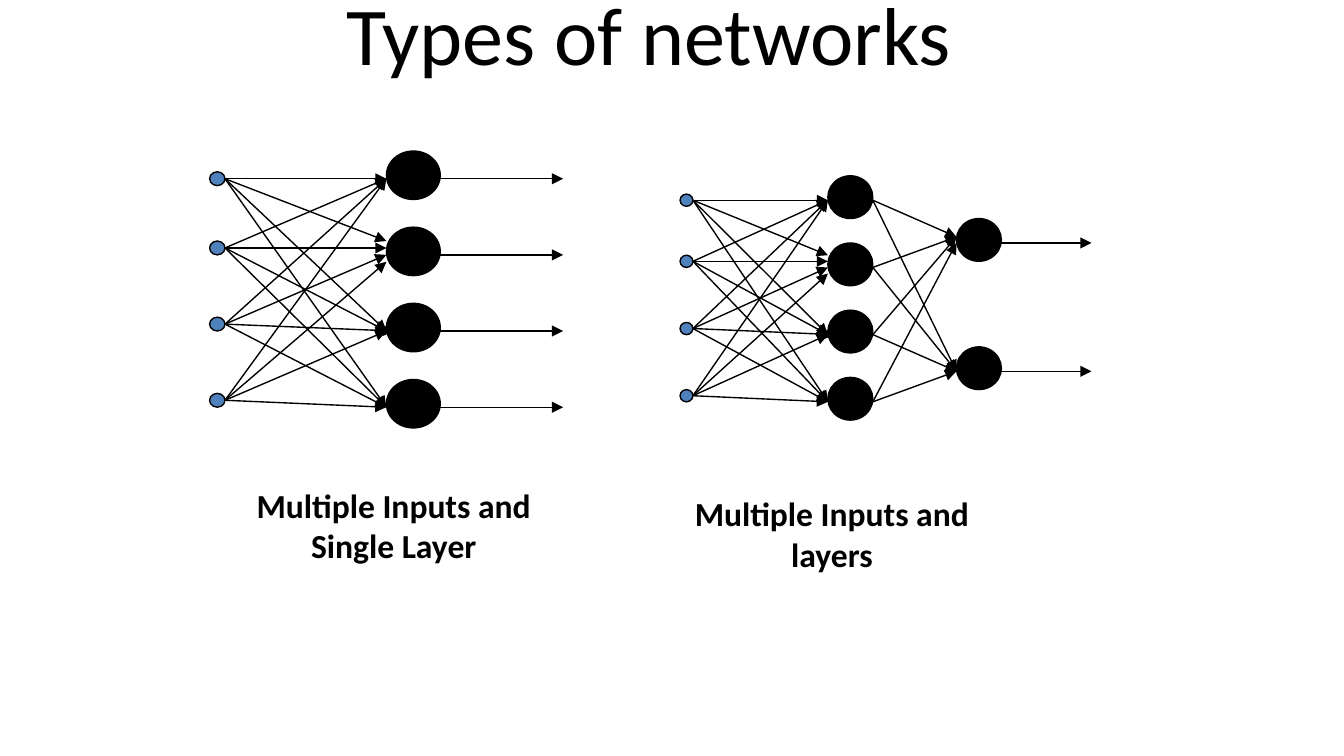
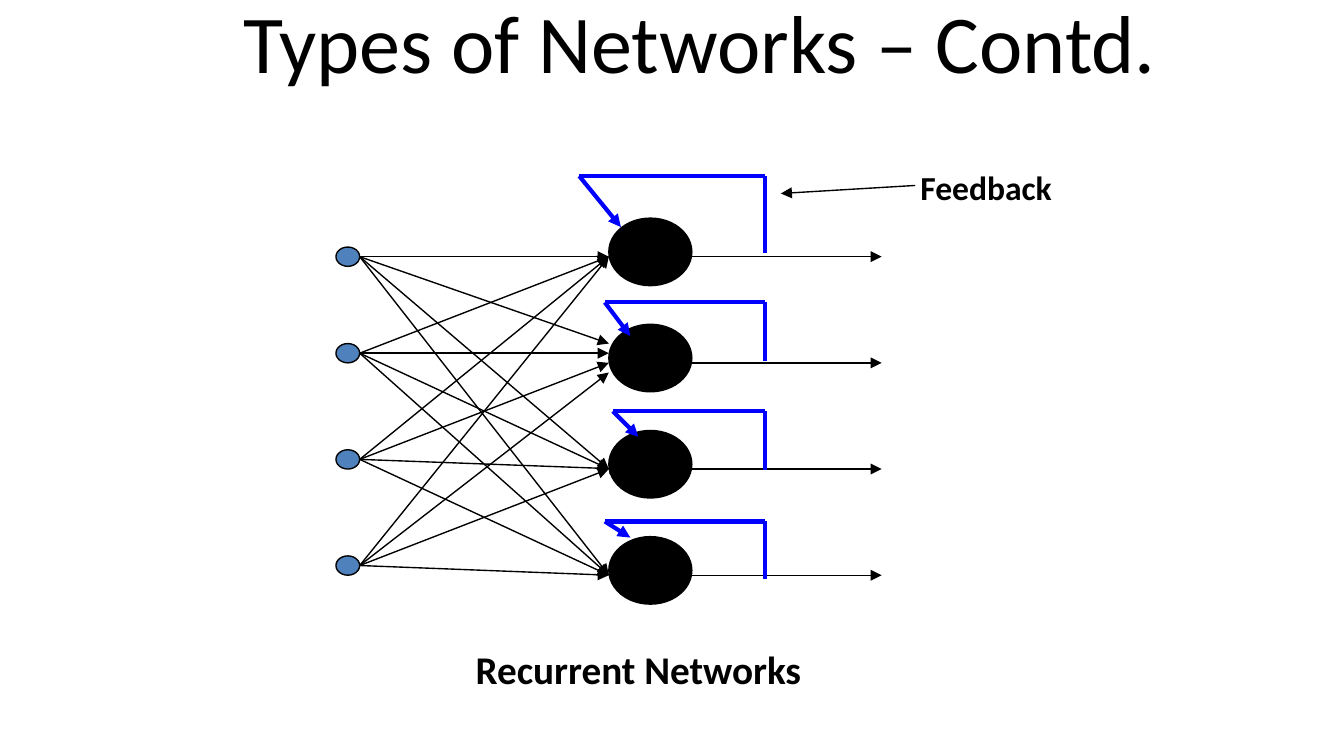
from dataclasses import dataclass

from lxml import etree
from pptx import Presentation
from pptx import util as u
from pptx.dml.color import RGBColor
from pptx.enum import shapes, text
from pptx.oxml.ns import qn

COLOURS = {"ink": "000000", "input": "4F81BD", "feedback": "0000FF"}
FONT = "Calibri"
TITLE_FORMAT = {"size": u.Pt(44), "bold": False}
CAPTION_FORMAT = {"size": u.Pt(18), "bold": True}
LARGE_CAPTION_FORMAT = {"size": u.Pt(21), "bold": True}

# Every network is drawn on a grid, counted from the left of the inputs
# and the middle of the first input.
GRID_COLUMNS, GRID_ROWS = 46, 33
INPUT_ROWS = (0, 10, 21, 32)
NEURON_ROWS = (0, 11, 22, 33)
OUTPUT_ROWS = (7, 28)
INPUT_RIGHT, NEURON_LEFT, NEURON_SIZE = 2, 23, 7
OUTPUT_LEFT, OUTPUT_END = 43, 64


@dataclass
class Grid:
    left: float
    top: float
    width: float
    height: float

    def point(self, column, row):
        return (self.left + column * self.width / GRID_COLUMNS,
                self.top + row * self.height / GRID_ROWS)


def colour(name):
    return RGBColor.from_string(COLOURS[name])


def add_line(parent, start, end, name="ink", width=0.75, arrow=True):
    ends = [u.Inches(value) for value in (*start, *end)]
    connector = parent.add_connector(shapes.MSO_CONNECTOR.STRAIGHT, *ends)
    connector.line.color.rgb = colour(name)
    connector.line.width = u.Pt(width)
    if arrow:
        line = connector.line._get_or_add_ln()
        etree.SubElement(line, qn("a:tailEnd"), type="triangle")
    etree.SubElement(connector._element.spPr, qn("a:effectLst"))


def add_node(group, grid, column, row, size, fill):
    """Draw an ellipse from its left column, middle row and size in cells."""
    left, top = grid.point(column, row - size / 2)
    right, bottom = grid.point(column + size, row + size / 2)
    box = [u.Inches(value) for value in (left, top, right - left, bottom - top)]
    node = group.add_shape(shapes.MSO_SHAPE.OVAL, *box)
    node.shadow.inherit = False
    node.fill.solid()
    node.fill.fore_color.rgb = colour(fill)
    node.line.color.rgb = colour("ink")
    node.line.width = u.Pt(0.75)


def add_neurons(group, grid, column, rows):
    """Neurons sit half a row above the arrows that meet them."""
    for row in rows:
        add_node(group, grid, column, row - 0.5, NEURON_SIZE, "ink")


def add_outputs(group, grid, start, end, rows):
    for row in rows:
        add_line(group, grid.point(start, row), grid.point(end, row))


def add_input_layer(group, grid):
    add_neurons(group, grid, NEURON_LEFT, NEURON_ROWS)
    for row in INPUT_ROWS:
        add_node(group, grid, 0, row, INPUT_RIGHT, "input")
    for source, start_row in enumerate(INPUT_ROWS):
        for target, end_row in enumerate(NEURON_ROWS):
            # Arrows fan out on the second neuron; one reaches into the third.
            row = 9 + source if target == 1 else end_row
            column = NEURON_LEFT + (source == target == 2)
            add_line(group, grid.point(INPUT_RIGHT, start_row),
                     grid.point(column, row))


def add_output_layer(group, grid):
    hidden_right = NEURON_LEFT + NEURON_SIZE
    add_neurons(group, grid, OUTPUT_LEFT, OUTPUT_ROWS)
    upper, lower = OUTPUT_ROWS
    for row in NEURON_ROWS:
        upper_end = upper if row == NEURON_ROWS[-1] else upper - 1
        for end_row in (upper_end, lower):
            add_line(group, grid.point(hidden_right, row),
                     grid.point(OUTPUT_LEFT, end_row))
    add_outputs(group, grid, OUTPUT_LEFT + NEURON_SIZE, OUTPUT_END, OUTPUT_ROWS)


def add_network(slide, grid, two_layers=False):
    group = slide.shapes.add_group_shape().shapes
    add_input_layer(group, grid)
    if two_layers:
        add_output_layer(group, grid)
    else:
        add_outputs(group, grid, NEURON_LEFT + NEURON_SIZE, GRID_COLUMNS,
                    NEURON_ROWS)


def add_feedback(slide, right, bottom, top, left, tip):
    """Lead an output back over its neuron, ending with an arrow at tip."""
    corners = [(right, bottom), (right, top), (left, top), tip]
    for start, end in zip(corners, corners[1:]):
        add_line(slide.shapes, start, end, "feedback", 2.25, arrow=end == tip)


def write(shape, words, font_format, alignment):
    paragraph = shape.text_frame.paragraphs[0]
    paragraph.alignment = alignment
    run = paragraph.add_run()
    run.text = words
    run.font.name = FONT
    run.font.color.rgb = colour("ink")
    for name, value in font_format.items():
        setattr(run.font, name, value)


def add_caption(slide, words, box, font_format=CAPTION_FORMAT,
                alignment=text.PP_ALIGN.CENTER, wrap=True):
    caption = slide.shapes.add_textbox(*[u.Inches(value) for value in box])
    caption.text_frame.word_wrap = wrap
    write(caption, words, font_format, alignment)


def add_slide(presentation, words, left, top, indent=0.1):
    slide = presentation.slides.add_slide(presentation.slide_layouts[5])
    title = slide.shapes.title
    box = {"left": left, "top": top, "width": 9, "height": 0.94}
    for name, value in box.items():
        setattr(title, name, u.Inches(value))
    frame_format = {"auto_size": text.MSO_AUTO_SIZE.NONE,
                    "vertical_anchor": text.MSO_ANCHOR.MIDDLE,
                    "margin_left": u.Inches(indent)}
    for name, value in frame_format.items():
        setattr(title.text_frame, name, value)
    write(title, words, TITLE_FORMAT, text.PP_ALIGN.CENTER)
    return slide


def build_layered_networks(presentation):
    slide = add_slide(presentation, "Types of networks", 0.33, -0.23)
    add_network(slide, Grid(1.56, 1.33, 2.63, 1.7))
    add_network(slide, Grid(5.06, 1.49, 2.2, 1.5), two_layers=True)
    add_caption(slide, "Multiple Inputs and Single Layer",
                (1.62, 3.56, 2.62, 0.71))
    add_caption(slide, "Multiple Inputs and layers", (5, 3.62, 2.38, 0.71))


def build_recurrent_network(presentation):
    slide = add_slide(presentation, "Types of Networks – Contd.", 0.5, -0.17,
                      indent=0.52)
    add_network(slide, Grid(2.5, 1.91, 4.06, 2.37))
    loops = [
        (1.88, 1.31, 4.31, (4.62, 1.69)),
        (2.69, 2.25, 4.5, (4.69, 2.5)),
        (3.5, 3.06, 4.56, (4.75, 3.25)),
        (4.31, 3.88, 4.5, (4.69, 4)),
    ]
    for loop in loops:
        add_feedback(slide, 5.69, *loop)
    add_caption(slide, "Feedback", (6.75, 1.19, 1.31, 0.4),
                alignment=text.PP_ALIGN.LEFT)
    add_line(slide.shapes, (6.81, 1.38), (5.81, 1.44))
    add_caption(slide, "Recurrent Networks", (3.44, 4.75, 2.65, 0.45),
                LARGE_CAPTION_FORMAT, text.PP_ALIGN.LEFT, wrap=False)


def main():
    presentation = Presentation()
    presentation.slide_width = u.Inches(10)
    presentation.slide_height = presentation.slide_width * 9 // 16
    build_layered_networks(presentation)
    build_recurrent_network(presentation)
    presentation.save("out.pptx")


if __name__ == "__main__":
    main()
